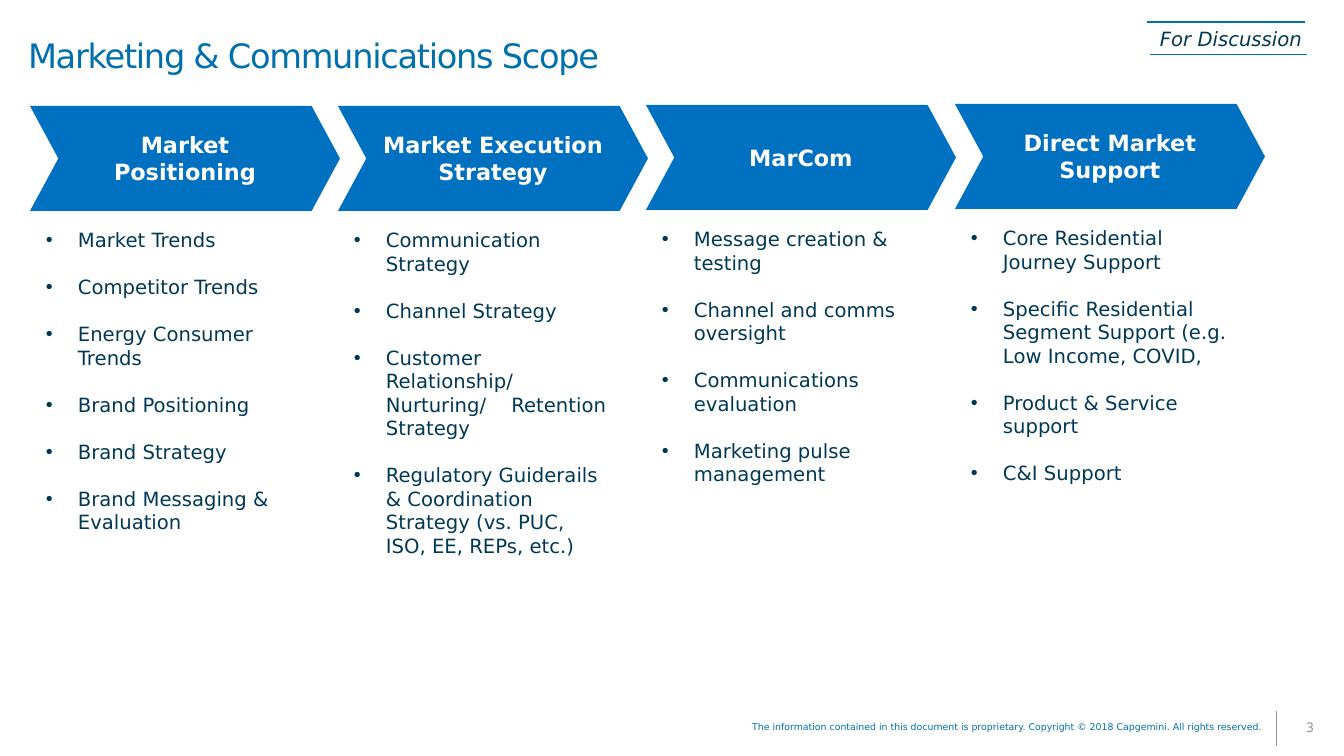
from pptx import Presentation
from pptx.dml.color import RGBColor
from pptx.enum.shapes import MSO_CONNECTOR, MSO_SHAPE
from pptx.enum.text import MSO_ANCHOR, PP_ALIGN
from pptx.oxml.ns import qn
from pptx.util import Pt
from lxml import etree

STRAIGHT = MSO_CONNECTOR.STRAIGHT
CHEVRON = MSO_SHAPE.CHEVRON
TOP, MIDDLE = MSO_ANCHOR.TOP, MSO_ANCHOR.MIDDLE
LEFT, CENTER, RIGHT = PP_ALIGN.LEFT, PP_ALIGN.CENTER, PP_ALIGN.RIGHT

THEME = {
    "font": "DejaVu Sans",
    "blue": RGBColor.from_string("0070AD"),
    "chevron": RGBColor.from_string("0070C0"),
    "navy": RGBColor.from_string("003856"),
    "gray": RGBColor.from_string("969696"),
    "white": RGBColor.from_string("FFFFFF"),
    "title": 24, "heading": 16, "body": 14, "number": 9.3, "footer": 6.7,
    "bullet_gap": 16.8,
}
SCALE = 914400 / 100.8


def px(length):
    return round(length * SCALE)


def write(box, lines, size, color, align=LEFT, anchor=TOP, wrap=True,
          line_spacing=None, bullets=False, tracking=None, **styles):
    frame = box.text_frame
    frame.word_wrap = wrap
    frame.vertical_anchor = anchor
    formats = {"name": THEME["font"], "size": Pt(THEME[size]), **styles}
    for index, line in enumerate(lines):
        para = frame.add_paragraph() if index else frame.paragraphs[0]
        para.alignment = align
        para.line_spacing = line_spacing
        if bullets:
            if index:
                para.space_before = Pt(THEME["bullet_gap"])
            properties = para._p.get_or_add_pPr()
            properties.set("marL", str(px(32)))
            properties.set("indent", str(px(-32)))
            etree.SubElement(properties, qn("a:buFont")).set("typeface", "Arial")
            etree.SubElement(properties, qn("a:buChar")).set("char", "•")
        for piece in line.split("|"):
            span = para.add_run()
            span.text = piece
            for name, value in formats.items():
                setattr(span.font, name, value)
            span.font.color.rgb = THEME[color]
            spacing = 1335 if piece == " " else tracking
            if spacing:
                span._r.get_or_add_rPr().set("spc", str(spacing))


deck = Presentation()
deck.slide_width, deck.slide_height = px(1344), px(756)
page = deck.slides.add_slide(deck.slide_layouts[6])
shapes = page.shapes

rules = [
    (1277, 711, 1277, 746, "gray"),
    (1147, 22, 1305, 22, "blue"),
    (1150, 55, 1307, 55, "blue"),
]
for x1, y1, x2, y2, color in rules:
    rule = shapes.add_connector(STRAIGHT, px(x1), px(y1), px(x2), px(y2))
    rule.line.color.rgb = THEME[color]
    rule.line.width = Pt(0.75)
    etree.SubElement(rule._element.spPr, qn("a:effectLst"))

title = shapes.add_textbox(0, 0, px(1344), px(117))
margins = {"margin_left": 28, "margin_top": 3, "margin_right": 15, "margin_bottom": 3}
for name, value in margins.items():
    setattr(title.text_frame, name, px(value))
write(title, ["Marketing & Communications Scope"], "title", "blue",
      anchor=MIDDLE, line_spacing=0.85, tracking=-90)

status = shapes.add_textbox(px(1150), px(22), px(163), px(34))
write(status, ["For Discussion"], "body", "navy", wrap=False, italic=True)

number = shapes.add_textbox(px(1277), px(711), px(66), px(35))
write(number, ["3"], "number", "gray", CENTER, MIDDLE, line_spacing=0.85)

footer = shapes.add_textbox(px(604), px(718), px(669), px(20))
write(footer, ["The information contained in this document\u00a0is proprietary. "
               "Copyright © 2018 Capgemini. All rights reserved."],
      "footer", "blue", RIGHT, line_spacing=0.85)

stages = [
    (30, 106, ["Market", "Positioning"],
     ["Market Trends", "Competitor Trends", "Energy Consumer Trends",
      "Brand Positioning", "Brand Strategy", "Brand Messaging & Evaluation"]),
    (338, 106, ["Market Execution Strategy"],
     ["Communication Strategy", "Channel Strategy",
      "Customer Relationship/ Nurturing/| |Retention Strategy",
      "Regulatory Guiderails & Coordination Strategy (vs. PUC, ISO, EE, REPs, etc.)"]),
    (646, 105, ["MarCom"],
     ["Message creation & testing", "Channel and comms oversight",
      "Communications evaluation", "Marketing pulse management"]),
    (955, 104, ["Direct Market Support"],
     ["Core Residential Journey Support",
      "Specific Residential Segment Support (e.g. Low Income, COVID,",
      "Product & Service support", "C&I Support"]),
]
for left, top, heading, topics in stages:
    chevron = shapes.add_shape(CHEVRON, px(left), px(top), px(310), px(105))
    chevron.adjustments[0] = 0.27
    chevron.shadow.inherit = False
    chevron.fill.solid()
    chevron.fill.fore_color.rgb = THEME["chevron"]
    chevron.line.fill.background()
    write(chevron, heading, "heading", "white", CENTER, MIDDLE, bold=True)
    topic_box = shapes.add_textbox(px(left + 6), px(top + 117), px(276), px(380))
    write(topic_box, topics, "body", "navy", bullets=True)

deck.save("out.pptx")
